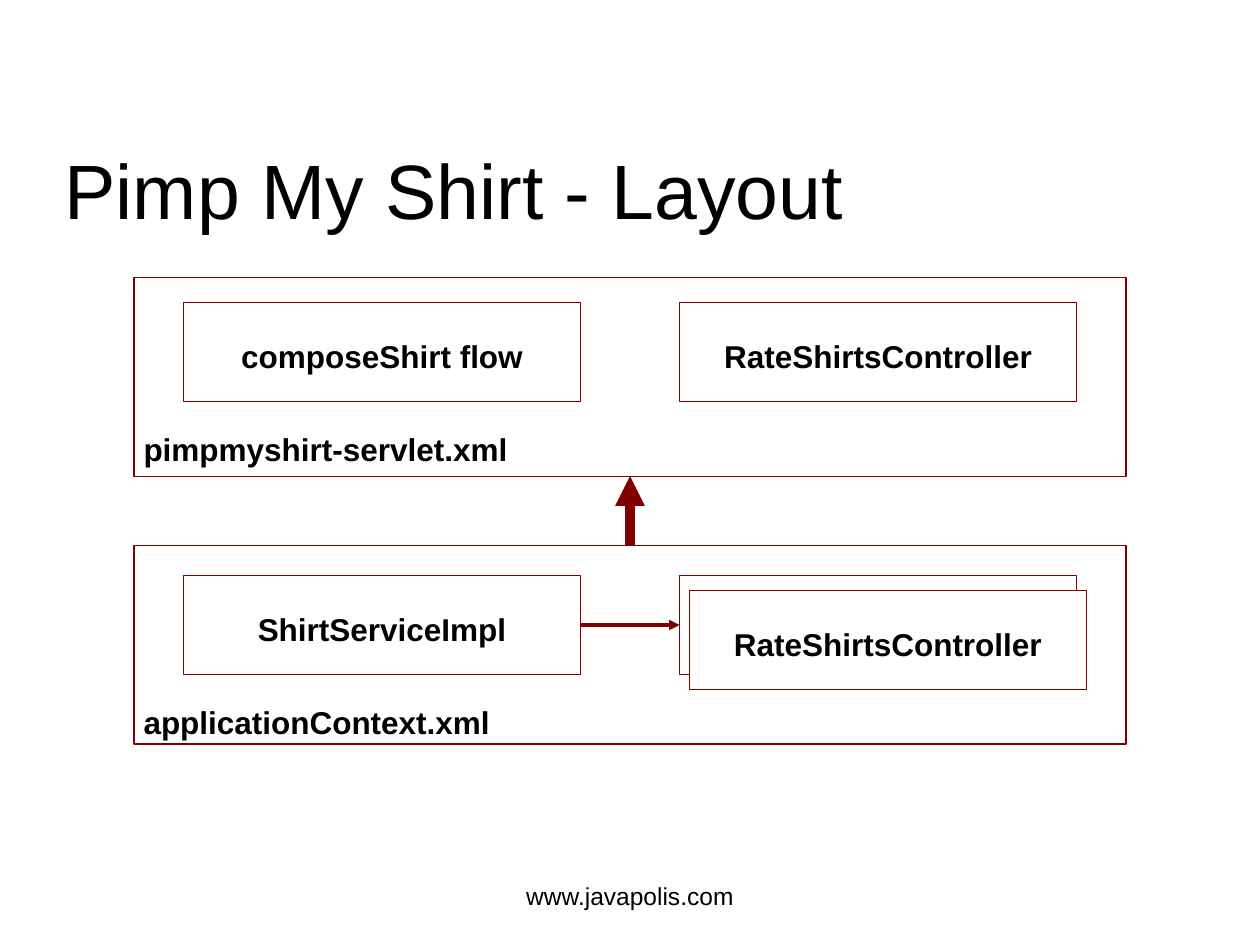
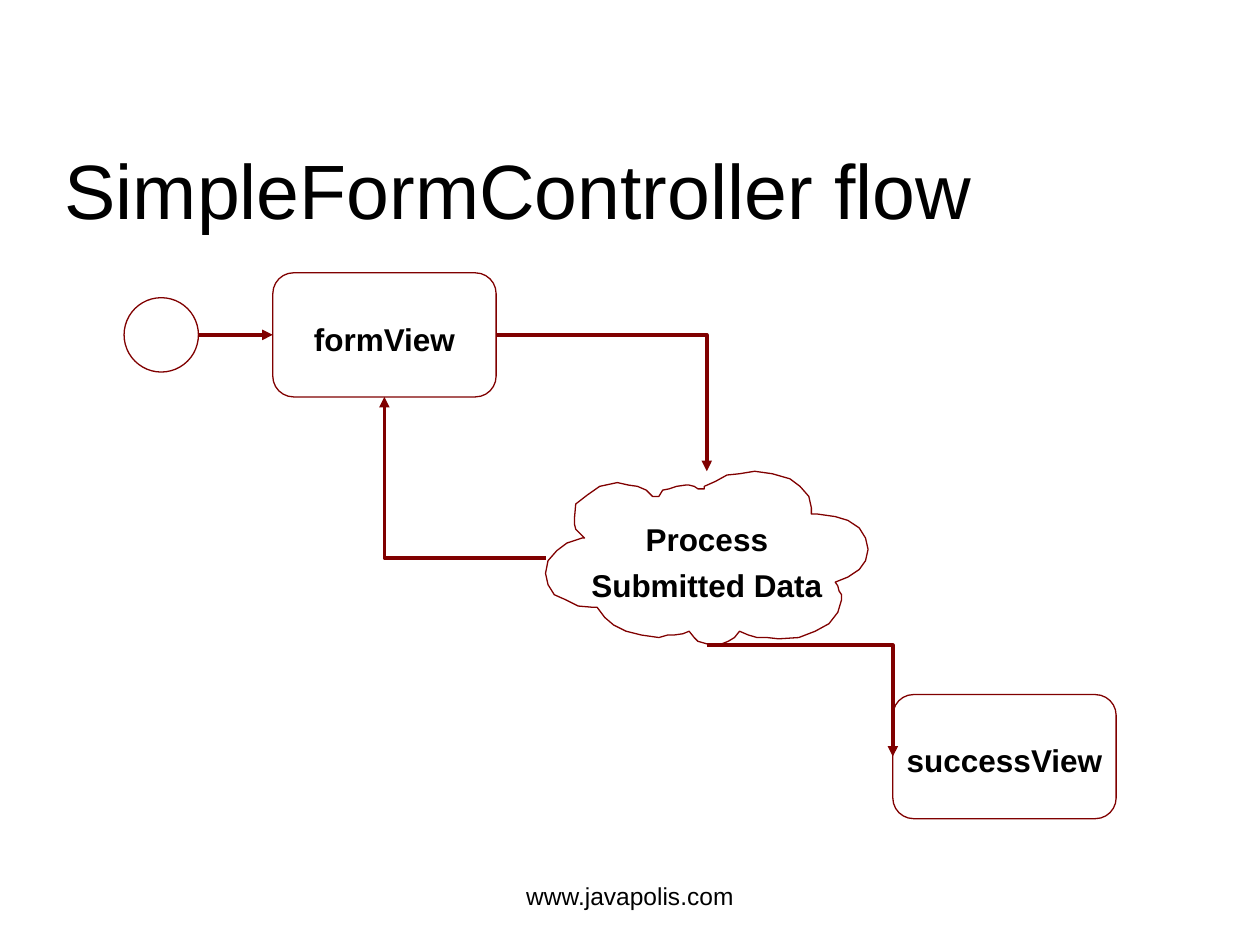
import dataclasses

import lxml.etree
import pptx
import pptx.dml.color
import pptx.enum.shapes
import pptx.enum.text
import pptx.oxml.ns
import pptx.util

Pt = pptx.util.Pt
SHAPES = pptx.enum.shapes.MSO_SHAPE
CONNECTORS = pptx.enum.shapes.MSO_CONNECTOR
ALIGN = pptx.enum.text.PP_ALIGN
ANCHOR = pptx.enum.text.MSO_ANCHOR
TOP, LEFT, BOTTOM, RIGHT = range(4)


@dataclasses.dataclass(frozen=True)
class Theme:
    font: str = "Arial"
    text: str = "000000"
    outline: str = "800000"
    paper: str = "FFFFFF"
    title_size: float = 44
    label_size: float = 18
    footer_size: float = 14
    line_spacing: float = 1.2
    hairline: float = 0
    thick_line: float = 5.67


THEME = Theme()

CLOUD_UNIT = 0.72
CLOUD_OUTLINE = [
    (663, 462), (665, 465), (666, 469), (668, 472), (668, 476), (665, 486),
    (658, 495), (647, 501), (634, 506), (618, 507), (609, 506), (601, 506),
    (594, 504), (587, 501), (583, 506), (578, 509), (573, 511), (566, 512),
    (561, 511), (554, 509), (551, 506), (547, 501), (542, 503), (535, 504),
    (530, 504), (523, 506), (509, 504), (497, 501), (487, 496), (480, 490),
    (474, 482), (471, 482), (459, 481), (449, 476), (440, 472), (435, 464),
    (433, 455), (435, 445), (442, 437), (450, 431), (462, 427), (464, 427),
    (461, 424), (457, 420), (456, 416), (456, 411), (457, 400), (466, 393),
    (476, 386), (490, 383), (499, 385), (506, 386), (513, 389), (518, 394),
    (523, 394), (526, 389), (531, 388), (537, 386), (544, 385), (547, 385),
    (551, 386), (554, 388), (559, 388), (559, 386), (568, 382), (577, 377),
    (587, 376), (599, 374), (613, 376), (627, 380), (635, 386), (642, 394),
    (644, 403), (644, 408), (649, 408), (663, 410), (673, 413), (682, 419),
    (687, 427), (689, 436), (687, 445), (682, 452), (673, 458),
]


def color(value):
    return pptx.dml.color.RGBColor.from_string(value)


def write_text(shape, text, *, size=THEME.label_size, bold=True, align=ALIGN.CENTER,
               anchor=ANCHOR.MIDDLE, margins=(0, 0)):
    frame = shape.text_frame
    frame.word_wrap = True
    frame.vertical_anchor = anchor
    frame.margin_left = frame.margin_right = Pt(margins[0])
    frame.margin_top = frame.margin_bottom = Pt(margins[1])
    frame.text = text
    for paragraph in frame.paragraphs:
        paragraph.alignment = align
        paragraph.line_spacing = THEME.line_spacing
        paragraph.font.name = THEME.font
        paragraph.font.size = Pt(size)
        paragraph.font.bold = bold
        paragraph.font.color.rgb = color(THEME.text)


def add_text(slide, text, left, top, width, height, **text_format):
    box = slide.shapes.add_textbox(Pt(left), Pt(top), Pt(width), Pt(height))
    write_text(box, text, **text_format)


def style_outline(shape, fill=None):
    shape.shadow.inherit = False
    if fill:
        shape.fill.solid()
        shape.fill.fore_color.rgb = color(fill)
    else:
        shape.fill.background()
    shape.line.color.rgb = color(THEME.outline)
    shape.line.width = Pt(THEME.hairline)


def add_box(slide, left, top, width, height, text=None, kind=SHAPES.RECTANGLE, fill=None):
    shape = slide.shapes.add_shape(kind, Pt(left), Pt(top), Pt(width), Pt(height))
    style_outline(shape, fill)
    if text:
        write_text(shape, text)
    return shape


def add_cloud(slide, text):
    builder = slide.shapes.build_freeform(*CLOUD_OUTLINE[0], scale=Pt(CLOUD_UNIT))
    builder.add_line_segments(CLOUD_OUTLINE[1:], close=True)
    cloud = builder.convert_to_shape()
    style_outline(cloud)
    write_text(cloud, text)
    return cloud


def side_middle(shape, side):
    across = {LEFT: 0, RIGHT: shape.width}.get(side, shape.width // 2)
    down = {TOP: 0, BOTTOM: shape.height}.get(side, shape.height // 2)
    return shape.left + across, shape.top + down


def add_arrow(slide, source, source_side, target, target_side, bent=False,
              width=THEME.hairline):
    kind = CONNECTORS.ELBOW if bent else CONNECTORS.STRAIGHT
    arrow = slide.shapes.add_connector(
        kind, *side_middle(source, source_side), *side_middle(target, target_side))
    properties = arrow._element.spPr
    if bent:
        properties.find(pptx.oxml.ns.qn("a:prstGeom")).set("prst", "bentConnector2")
    else:
        if source.auto_shape_type != SHAPES.OVAL:
            arrow.begin_connect(source, source_side)
        arrow.end_connect(target, target_side)
    arrow.line.color.rgb = color(THEME.outline)
    arrow.line.width = Pt(width)
    line = properties.find(pptx.oxml.ns.qn("a:ln"))
    lxml.etree.SubElement(line, pptx.oxml.ns.qn("a:tailEnd"), type="triangle")
    lxml.etree.SubElement(properties, pptx.oxml.ns.qn("a:effectLst"))


def add_slide(presentation, title):
    slide = presentation.slides.add_slide(presentation.slide_layouts[6])
    add_text(slide, "www.javapolis.com", 246, 496.8, 228, 32.4, size=THEME.footer_size,
             bold=False, anchor=ANCHOR.TOP, margins=(7.2, 3.6))
    add_text(slide, title, 36.9, 71.3, 646.6, 62.6, size=THEME.title_size,
             bold=False, align=ALIGN.LEFT)
    return slide


def add_panel(slide, top, file_name, label_top):
    panel = add_box(slide, 76.5, top, 567, 113.4)
    add_text(slide, file_name, 82, label_top, 240, 24.5, align=ALIGN.LEFT)
    return panel


def build_layout_slide(presentation):
    slide = add_slide(presentation, "Pimp My Shirt - Layout")
    servlet = add_panel(slide, 158.7, "pimpmyshirt-servlet.xml", 242)
    context = add_panel(slide, 311.8, "applicationContext.xml", 398)
    add_arrow(slide, context, TOP, servlet, BOTTOM, width=THEME.thick_line)

    left_column, right_column = 104.9, 388.4
    servlet_row, context_row = 172.9, 328.8
    box_size = (226.8, 56.7)
    add_box(slide, left_column, servlet_row, *box_size, "composeShirt flow")
    add_box(slide, right_column, servlet_row, *box_size, "RateShirtsController")
    service = add_box(slide, left_column, context_row, *box_size, "ShirtServiceImpl")
    back_card = add_box(slide, right_column, context_row, *box_size)
    add_box(slide, right_column + 5.6, context_row + 8.5, *box_size,
            "RateShirtsController", fill=THEME.paper)
    add_arrow(slide, service, RIGHT, back_card, LEFT)


def build_flow_slide(presentation):
    slide = add_slide(presentation, "SimpleFormController flow")
    view_size = (127.6, 70.9)
    start = add_box(slide, 70.9, 170.1, 42.5, 42.5, kind=SHAPES.OVAL)
    form_view = add_box(slide, 155.9, 155.9, *view_size, "formView",
                        kind=SHAPES.ROUNDED_RECTANGLE)
    process = add_cloud(slide, "Process\nSubmitted Data")
    success_view = add_box(slide, 510.2, 396.9, *view_size, "successView",
                           kind=SHAPES.ROUNDED_RECTANGLE)
    add_arrow(slide, start, RIGHT, form_view, LEFT)
    add_arrow(slide, form_view, RIGHT, process, TOP, bent=True)
    add_arrow(slide, process, LEFT, form_view, BOTTOM, bent=True)
    add_arrow(slide, process, BOTTOM, success_view, LEFT, bent=True)


def main():
    presentation = pptx.Presentation()
    presentation.slide_width = Pt(720)
    presentation.slide_height = Pt(540)
    build_layout_slide(presentation)
    build_flow_slide(presentation)
    presentation.save("out.pptx")


if __name__ == "__main__":
    main()
